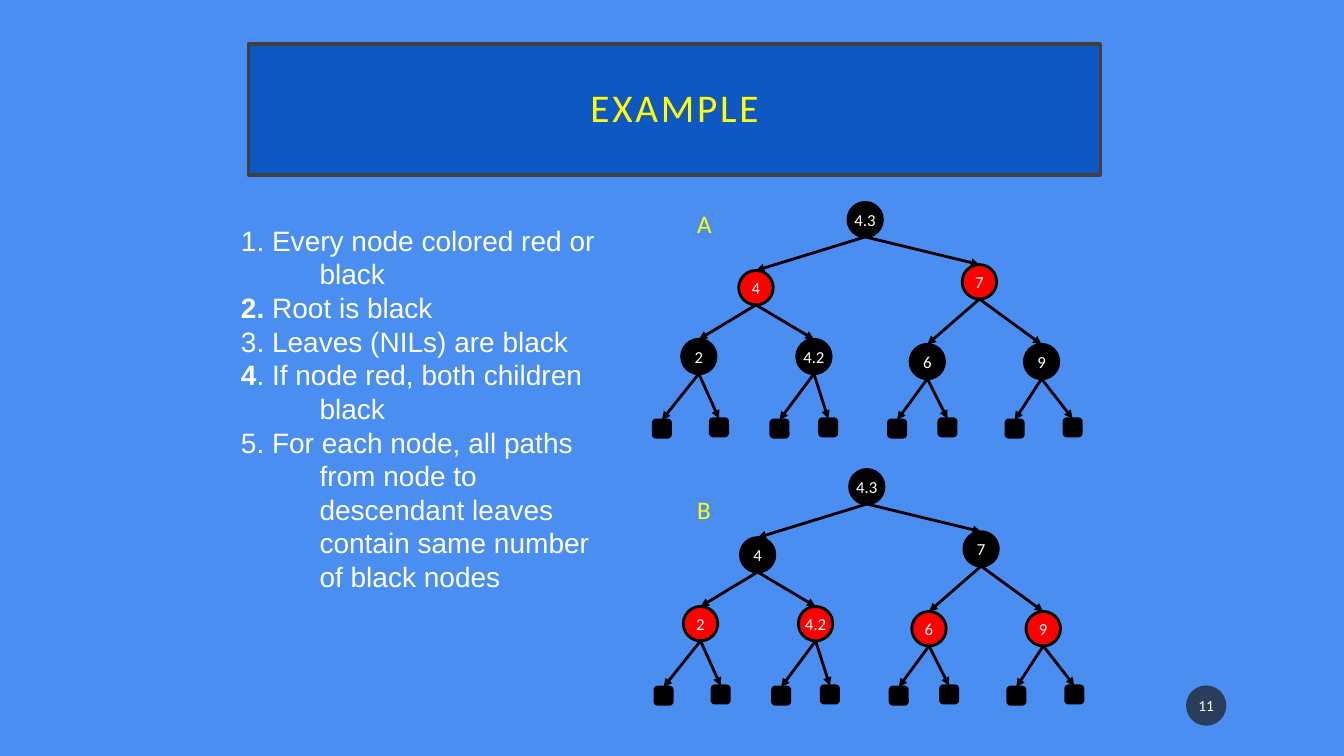
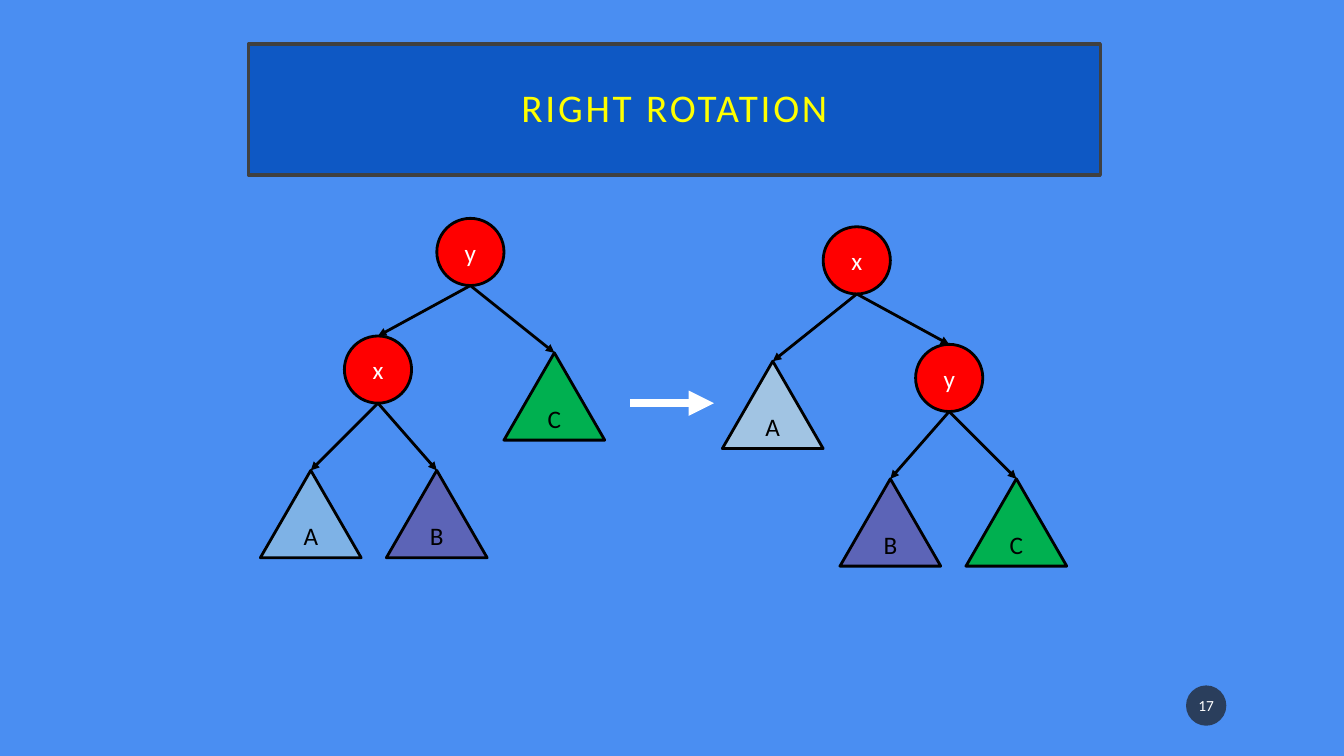
from dataclasses import dataclass

from lxml import etree
from pptx import Presentation
from pptx.dml.color import RGBColor
from pptx.enum.shapes import MSO_CONNECTOR, MSO_SHAPE
from pptx.enum.text import MSO_ANCHOR, PP_ALIGN
from pptx.oxml.ns import qn
from pptx.util import Inches, Pt

OVAL = MSO_SHAPE.OVAL
TRIANGLE = MSO_SHAPE.ISOSCELES_TRIANGLE
ROUNDED = MSO_SHAPE.ROUNDED_RECTANGLE
RECTANGLE = MSO_SHAPE.RECTANGLE
STRAIGHT = MSO_CONNECTOR.STRAIGHT
MIDDLE = MSO_ANCHOR.MIDDLE
CENTER = PP_ALIGN.CENTER

# The slide is a grid of square cells
COLUMNS, ROWS = 160, 90
SLIDE_HEIGHT = Inches(7.5)
CELL = SLIDE_HEIGHT / ROWS


@dataclass(frozen=True)
class Theme:
    background: str = "4A8EF2"
    band: str = "0E58C4"
    band_line: str = "404040"
    badge: str = "1D1D1D"
    accent: str = "FFFF00"
    white: str = "FFFFFF"
    black: str = "000000"
    red: str = "FF0000"
    green: str = "00B050"
    violet: str = "5C64B7"
    sky: str = "7EB2E6"
    pale_sky: str = "A1C4E3"
    heading_font: str = "Calibri"
    body_font: str = "Arial"
    title_size: int = 28
    body_size: int = 20
    body_leading: int = 24
    label_size: int = 18
    node_size: int = 12
    badge_size: int = 11
    line_width: float = 2
    band_line_width: float = 2.5
    arrow_width: float = 6


THEME = Theme()


@dataclass(frozen=True)
class Node:
    """A tree node; x and y place its top centre, in cells from the root."""
    text: str
    x: float
    y: float
    parent: int | None
    kind: int
    width: float
    height: float
    fill: str
    color: str = THEME.white


# Red-black tree: (key, x, y, parent index), then leaves as (x, parent index)
KEYS = [("4.3", 0, 0, None), ("4", -13, 8.1, 0), ("7", 13.6, 7.4, 0),
        ("2", -19.8, 16.3, 1), ("4.2", -6.1, 16.3, 1),
        ("6", 7.4, 16.9, 2), ("9", 21, 16.9, 2)]
LEAVES = [(-24.2, 3), (-17.4, 3), (-10.2, 4), (-4.4, 4),
          (3.8, 5), (9.8, 5), (17.8, 6), (24.7, 6)]
LEAF_ROWS = (25.9, 25.75)  # left child, right child

RULES = [
    [("1. Every node colored red or black", False)],
    [("2. ", True), ("Root is black", False)],
    [("3. Leaves (NILs) are black", False)],
    [("4", True), (". If node red, both children black", False)],
    [("5. For each node, all paths from node to descendant leaves "
      "contain same number of black nodes", False)],
]


def cells(*lengths):
    return [round(length * CELL) for length in lengths]


def rgb(color):
    return RGBColor.from_string(color)


def set_font(font, name, size, color):
    font.name, font.size = name, Pt(size)
    font.color.rgb = rgb(color)


def add_figure(slide, kind, box, fill, line=None, line_width=THEME.line_width):
    shape = slide.shapes.add_shape(kind, *cells(*box))
    shape.shadow.inherit = False
    shape.fill.solid()
    shape.fill.fore_color.rgb = rgb(fill)
    if line:
        shape.line.color.rgb = rgb(line)
        shape.line.width = Pt(line_width)
    else:
        shape.line.fill.background()
    return shape


def write_centered(shape, text, size, color, wrap=True):
    frame = shape.text_frame
    frame.word_wrap, frame.vertical_anchor = wrap, MIDDLE
    paragraph = frame.paragraphs[0]
    paragraph.text, paragraph.alignment = text, CENTER
    set_font(paragraph.font, THEME.heading_font, size, color)
    return paragraph


def add_arrow(slide, start, end, color=THEME.black, width=THEME.line_width):
    arrow = slide.shapes.add_connector(STRAIGHT, *cells(*start, *end))
    arrow.line.color.rgb = rgb(color)
    arrow.line.width = Pt(width)
    properties = arrow._element.spPr
    etree.SubElement(properties.find(qn("a:ln")), qn("a:tailEnd"), type="triangle")
    etree.SubElement(properties, qn("a:effectLst"))
    return arrow


# Slide frame: title band and number badge
def add_framed_slide(presentation, title, number):
    slide = presentation.slides.add_slide(presentation.slide_layouts[6])

    badge = add_figure(slide, OVAL, (141.2, 81.6, 4.8, 4.8), THEME.badge)
    fill_color = badge._element.spPr.find(qn("a:solidFill"))[0]
    etree.SubElement(fill_color, qn("a:alpha"), val="70000")
    badge.text_frame.margin_left = badge.text_frame.margin_right = Inches(0.02)
    write_centered(badge, str(number), THEME.badge_size, THEME.white)

    band = add_figure(slide, RECTANGLE, (29.6, 5.25, 101.4, 15.6), THEME.band,
                      THEME.band_line, THEME.band_line_width)
    paragraph = write_centered(band, title, THEME.title_size, THEME.accent)
    paragraph.line_spacing = 0.9
    paragraph.runs[0]._r.get_or_add_rPr().set("spc", "200")
    return slide


# Trees: every node, then an arrow from each parent to its child
def add_tree(slide, nodes, left, top):
    shapes = []
    for node in nodes:
        box = (left + node.x - node.width / 2, top + node.y, node.width, node.height)
        shape = add_figure(slide, node.kind, box, node.fill, THEME.black)
        if node.text:
            size = THEME.node_size if node.width < 6 else THEME.label_size
            write_centered(shape, node.text, size, node.color, wrap=False)
        shapes.append(shape)
    for node, shape in zip(nodes, shapes):
        if node.parent is not None:
            parent = nodes[node.parent]
            arrow = add_arrow(slide,
                              (left + parent.x, top + parent.y + parent.height),
                              (left + node.x, top + node.y))
            arrow.end_connect(shape, 0)


def red_black_nodes(red_keys):
    nodes = [Node(key, x, y, parent, OVAL, 4.1, 4.1,
                  THEME.red if key in red_keys else THEME.black)
             for key, x, y, parent in KEYS]
    nodes += [Node("", x, LEAF_ROWS[index % 2], parent, ROUNDED, 2.05, 2.05, THEME.black)
              for index, (x, parent) in enumerate(LEAVES)]
    return nodes


def rotation_nodes(root, child, outer, inner, sibling, side):
    """Side is 1 when the deep branch goes left, -1 when it goes right."""
    circles = [(root, 0, 0, None), (child, -11, 14, 0)]
    triangles = [(outer, -19, 30, 1), (inner, -4, 30, 1), (sibling, 10, 16, 0)]
    nodes = [Node(text, side * x, y, parent, OVAL, 8, 8, THEME.red)
             for text, x, y, parent in circles]
    nodes += [Node(text, side * x, y, parent, TRIANGLE, 12, 10.4, fill, THEME.black)
              for (text, fill), x, y, parent in triangles]
    return nodes


# Text
def add_rules(slide, box):
    frame = slide.shapes.add_textbox(*cells(*box)).text_frame
    frame.word_wrap = True
    for index, runs in enumerate(RULES):
        paragraph = frame.paragraphs[0] if index == 0 else frame.add_paragraph()
        properties = paragraph._p.get_or_add_pPr()
        indent = Inches(0.78)
        properties.set("marL", str(indent))
        properties.set("indent", str(-indent))
        paragraph.line_spacing = Pt(THEME.body_leading)
        for text, bold in runs:
            run = paragraph.add_run()
            run.text, run.font.bold = text, bold
        set_font(paragraph.font, THEME.body_font, THEME.body_size, THEME.white)


def add_label(slide, text, left, top):
    frame = slide.shapes.add_textbox(*cells(left, top, 4.2, 4.8)).text_frame
    frame.word_wrap = False
    paragraph = frame.paragraphs[0]
    paragraph.text = text
    set_font(paragraph.font, THEME.heading_font, THEME.label_size, THEME.accent)


# Slides
def add_example(presentation):
    slide = add_framed_slide(presentation, "EXAMPLE", 11)
    add_rules(slide, (27.5, 26, 45.5, 57))
    add_tree(slide, red_black_nodes({"4", "7"}), 103, 24.1)
    add_label(slide, "A", 81.8, 24.2)
    add_tree(slide, red_black_nodes({"2", "4.2", "6", "9"}), 103.2, 55.9)
    add_label(slide, "B", 81.8, 58.2)


def add_right_rotation(presentation):
    slide = add_framed_slide(presentation, "RIGHT ROTATION", 17)
    inner, right = ("B", THEME.violet), ("C", THEME.green)
    before = rotation_nodes("y", "x", ("A", THEME.sky), inner, right, 1)
    after = rotation_nodes("x", "y", right, inner, ("A", THEME.pale_sky), -1)
    add_tree(slide, before, 56, 26)
    add_tree(slide, after, 102, 27)
    add_arrow(slide, (75, 48), (85, 48), THEME.white, THEME.arrow_width)


def main():
    presentation = Presentation()
    presentation.slide_width = round(COLUMNS * CELL)
    presentation.slide_height = SLIDE_HEIGHT
    background = presentation.slide_master.background.fill
    background.solid()
    background.fore_color.rgb = rgb(THEME.background)
    add_example(presentation)
    add_right_rotation(presentation)
    presentation.save("out.pptx")


if __name__ == "__main__":
    main()
